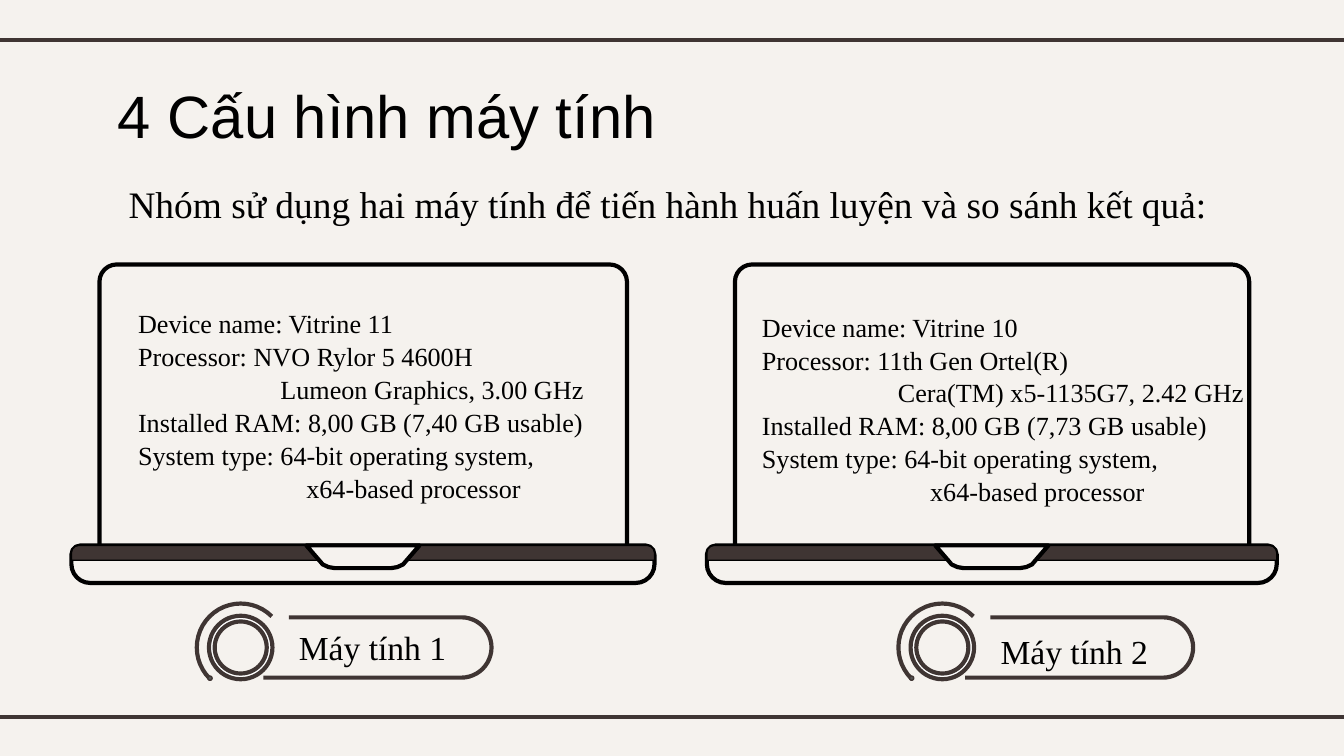
"""Build the slide that compares the two training computers."""
from math import cos, pi, sin

from pptx import Presentation
from pptx.dml.color import RGBColor
from pptx.enum.shapes import MSO_CONNECTOR, MSO_SHAPE as SHAPE
from pptx.enum.text import MSO_ANCHOR, PP_ALIGN
from pptx.oxml.ns import qn
from pptx.util import Cm, Pt

COLORS = {"paper": "F5F2EE", "brown": "3F3533", "black": "000000", "white": "FFFFFF", "grey": "545454"}
SERIF = "Times New Roman"
DETAIL_FORMAT = {"alignment": PP_ALIGN.JUSTIFY, "line_spacing": 1.05}


def style(shape, line, width=2.25, fill=None):
    shape.shadow.inherit = False
    if fill:
        shape.fill.solid()
        shape.fill.fore_color.rgb = RGBColor.from_string(COLORS[fill])
    else:
        shape.fill.background()
    shape.line.color.rgb = RGBColor.from_string(COLORS[line])
    shape.line.width = Pt(width)


def write(bounds, lines, size, name=SERIF, inset=0.13, paragraph_format=None):
    frame = slide.shapes.add_textbox(*map(Cm, bounds)).text_frame
    frame_format = {"word_wrap": True, "vertical_anchor": MSO_ANCHOR.TOP,
                    "margin_top": Cm(inset), "margin_bottom": Cm(inset)}
    for key, value in frame_format.items():
        setattr(frame, key, value)
    for index, (text, indent) in enumerate(lines):
        paragraph = frame.paragraphs[0] if index == 0 else frame.add_paragraph()
        for key, value in (paragraph_format or {}).items():
            setattr(paragraph, key, value)
        if indent:
            paragraph._p.get_or_add_pPr().set("marL", str(Cm(indent)))
        run = paragraph.add_run()
        run.text = text
        for key, value in {"name": name, "size": Pt(size)}.items():
            setattr(run.font, key, value)
        run.font.color.rgb = RGBColor.from_string(COLORS["black"])


presentation = Presentation()
presentation.slide_width, presentation.slide_height = Cm(25.4), Cm(14.29)
slide = presentation.slides.add_slide(presentation.slide_layouts[6])
slide.background.fill.solid()
slide.background.fill.fore_color.rgb = RGBColor.from_string(COLORS["paper"])

for y in (0.76, 13.55):
    rule = slide.shapes.add_connector(MSO_CONNECTOR.STRAIGHT, Cm(0), Cm(y), Cm(25.4), Cm(y))
    rule.line.color.rgb = RGBColor.from_string(COLORS["brown"])
    rule.line.width = Pt(2.25)
    properties = rule._element.spPr
    properties.append(properties.makeelement(qn("a:effectLst"), {}))

write((1.98, 1.24, 21.44, 1.6), [("4 Cấu hình máy tính", 0)], 32, "Arial", 0.25)
write((2.18, 3.3, 21.03, 1.12),
      [("Nhóm sử dụng hai máy tính để tiến hành huấn luyện và so sánh kết quả:", 0)], 20)

BASE_TOP = 10.31
NOTCH_SIDE = [(1.07, 0), (0.81, 0.3), (0.76, 0.36), (0.65, 0.41), (0.53, 0.43)]
NOTCH = [(-x, y) for x, y in NOTCH_SIDE] + NOTCH_SIDE[::-1]

for left, width in ((1.35, 11.02), (13.36, 10.77)):
    laptop_parts = [
        ((left + 0.53, 5, width - 1.05, 5.46), (0.06, 0), 2.25, None),
        ((left, BASE_TOP, width, 0.71), (0.25, 0.5), 2.25, None),
        ((left, BASE_TOP, width, 0.28), (0.5, 0), 0.75, "brown"),
    ]
    for bounds, corners, line_width, fill in laptop_parts:
        part = slide.shapes.add_shape(SHAPE.ROUND_2_SAME_RECTANGLE, *map(Cm, bounds))
        part.adjustments[0], part.adjustments[1] = corners
        style(part, "black", line_width, fill)
    center = left + width / 2
    points = [(Cm(center + x), Cm(BASE_TOP + y)) for x, y in NOTCH]
    builder = slide.shapes.build_freeform(*points[0])
    builder.add_line_segments(points[1:], close=True)
    style(builder.convert_to_shape(), "black", fill="paper")

details = [
    ((0.91, 5.66, 11.96, 4.19), [
        ("Device name: Vitrine 11", 1.45),
        ("Processor: NVO Rylor 5 4600H", 1.45),
        ("Lumeon Graphics, 3.00 GHz", 4.14),
        ("Installed RAM: 8,00 GB (7,40 GB usable)", 1.45),
        ("System type: 64-bit operating system,", 1.45),
        ("x64-based processor", 4.63)]),
    ((12.7, 5.72, 12.2, 4.27), [
        ("Device name: Vitrine 10", 1.45),
        ("Processor: 11th Gen Ortel(R)", 1.45),
        ("Cera(TM) x5-1135G7, 2.42 GHz", 4.02),
        ("Installed RAM: 8,00 GB (7,73 GB usable)", 1.45),
        ("System type: 64-bit operating system,", 1.45),
        ("x64-based processor", 4.63)]),
]
for bounds, lines in details:
    write(bounds, lines, 14, paragraph_format=DETAIL_FORMAT)

BADGE_Y = 12.24
PILL_RADIUS = 0.57
STEPS = 24
angles = [pi / 2 - pi * step / STEPS for step in range(STEPS + 1)]
PILL = ([(0.43, PILL_RADIUS)]
        + [(4.17 + PILL_RADIUS * cos(angle), PILL_RADIUS * sin(angle)) for angle in angles]
        + [(0.91, -PILL_RADIUS)])
BADGE_PARTS = [
    (SHAPE.DONUT, 0, 0, 0.6, (0.09,), 2.25, "white"),
    (SHAPE.ARC, 0, 0, 0.83, (81, 189), 2.25, None),
    (SHAPE.OVAL, -0.58, 0.58, 0.04, (), 0.75, "grey"),
]

for x, label, label_top in ((4.55, "Máy tính 1", 11.73), (17.81, "Máy tính 2", 11.79)):
    points = [(Cm(x + dx), Cm(BADGE_Y + dy)) for dx, dy in PILL]
    builder = slide.shapes.build_freeform(*points[0])
    builder.add_line_segments(points[1:], close=False)
    style(builder.convert_to_shape(), "brown")
    for kind, dx, dy, radius, adjustments, line_width, fill in BADGE_PARTS:
        bounds = (x + dx - radius, BADGE_Y + dy - radius, 2 * radius, 2 * radius)
        part = slide.shapes.add_shape(kind, *map(Cm, bounds))
        for index, value in enumerate(adjustments):
            part.adjustments[index] = value
        style(part, "brown", line_width, fill)
    write((x + 0.85, label_top, 3.6, 1.02), [(label, 0)], 18)

presentation.save("out.pptx")
